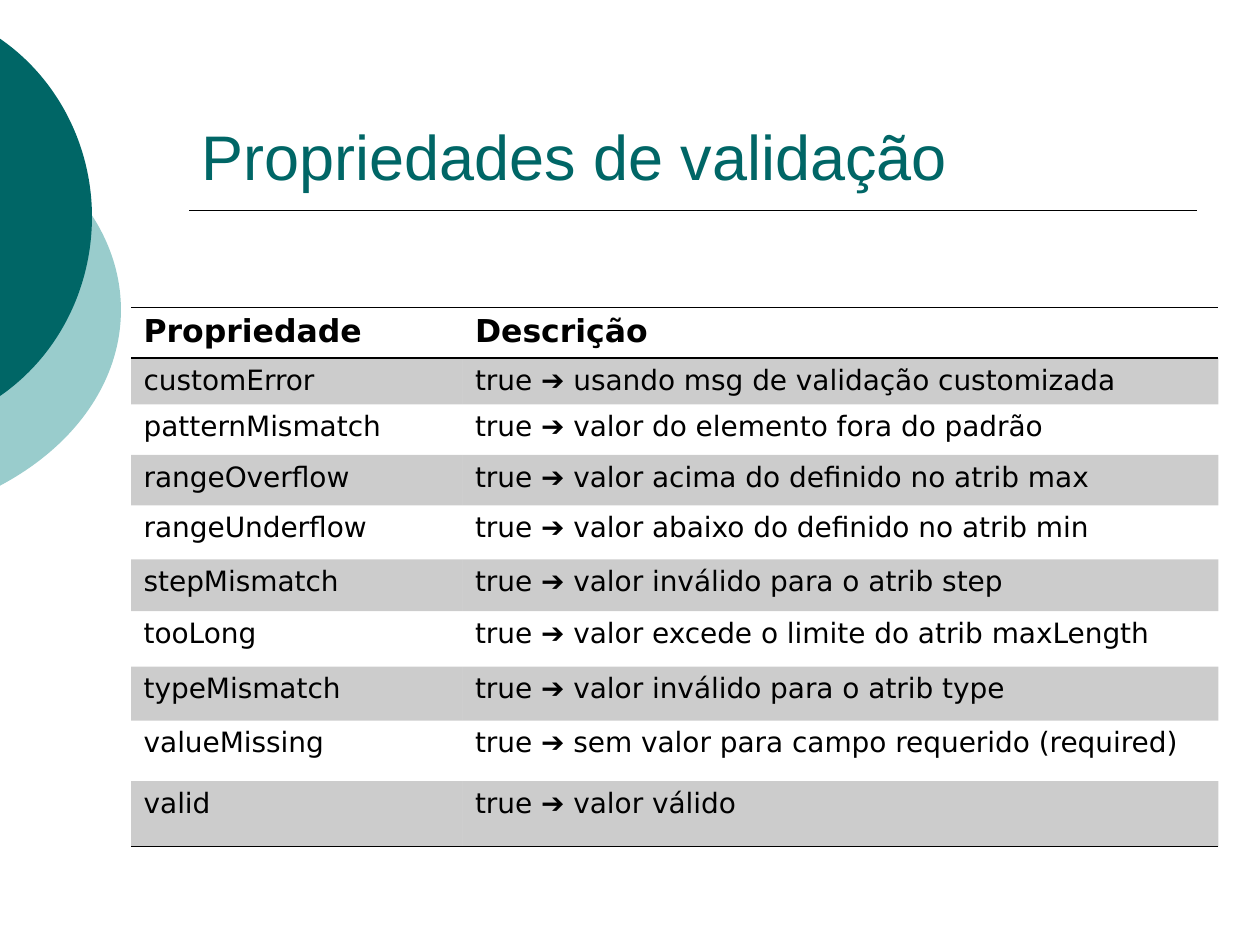
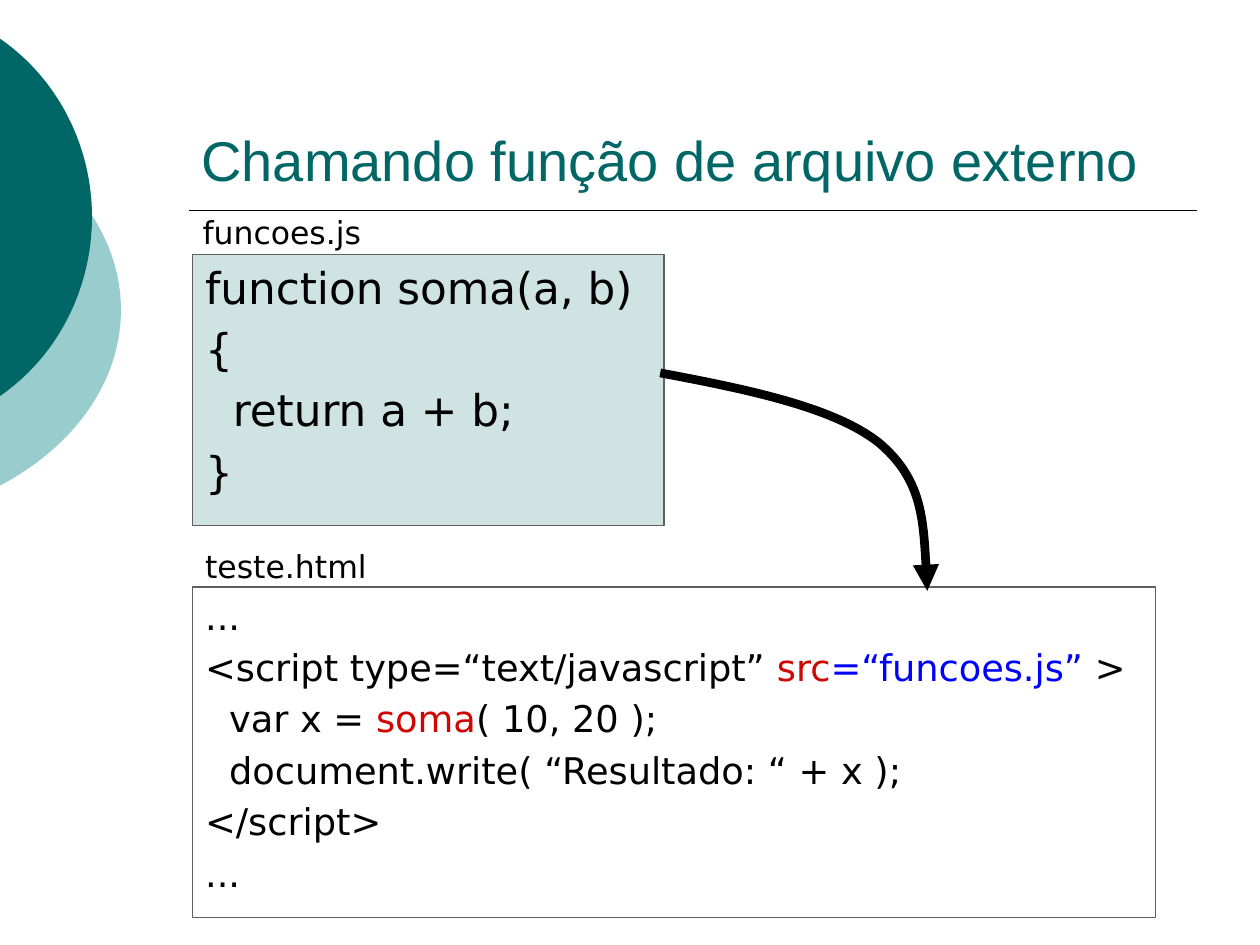
from lxml.etree import SubElement
from pptx import Presentation
from pptx.dml.color import RGBColor
from pptx.enum.shapes import MSO_CONNECTOR, MSO_SHAPE
from pptx.enum.text import MSO_ANCHOR, MSO_AUTO_SIZE, PP_ALIGN
from pptx.oxml.ns import qn
from pptx.util import Inches, Pt

BLACK, TEAL, LIGHT_TEAL = "000000", "006666", "99CCCC"
PALE_TEAL, GRAY, RED, BLUE = "D0E3E3", "5F5F5F", "CF0601", "0000FF"
TITLE_FONT, BODY_FONT = "Arial", "DejaVu Sans"
NO_TABLE_STYLE = "{2D5ABB26-0587-4C30-8999-92F81FD0307C}"

LIGHT_DISC_FRAME = (-3.54, 0.75, 4.5, 3.42)
LIGHT_DISC = [(-0.01, 1.06), (0.6, 1.38), (0.96, 1.9), (0.96, 2.46),
              (0.96, 3.02), (0.6, 3.54), (-0.01, 3.86)]
DARK_DISC_FRAME = (-2.65, 0, 3.38, 3.45)
DARK_DISC = [(-0.01, 0.3), (0.46, 0.62), (0.73, 1.16), (0.73, 1.72),
             (0.73, 2.29), (0.46, 2.83), (-0.01, 3.15)]
CALL_ARROW_FRAME = (5.24, 2.96, 2.13, 1.73)
CALL_ARROW = [(5.24, 2.96), (5.93, 3.09), (6.61, 3.23), (6.97, 3.51),
              (7.32, 3.8), (7.34, 4.25), (7.36, 4.69)]

PROPERTIES = [
    ("customError", "usando msg de validação customizada"),
    ("patternMismatch", "valor do elemento fora do padrão"),
    ("rangeOverflow", "valor acima do definido no atrib max"),
    ("rangeUnderflow", "valor abaixo do definido no atrib min"),
    ("stepMismatch", "valor inválido para o atrib step"),
    ("tooLong", "valor excede o limite do atrib maxLength"),
    ("typeMismatch", "valor inválido para o atrib type"),
    ("valueMissing", "sem valor para campo requerido (required)"),
    ("valid", "valor válido"),
]
ROW_HEIGHTS = [0.39, 0.37, 0.4, 0.4, 0.43, 0.41, 0.44, 0.43, 0.48, 0.52]

FUNCTION_CODE = [
    (0, [("function soma(a, b)", BLACK)]),
    (0, [("{", BLACK)]),
    (0.22, [("return a + b;", BLACK)]),
    (0, [("}", BLACK)]),
]
PAGE_CODE = [
    (0, [("...", BLACK)]),
    (0, [("<script type=“text/javascript” ", BLACK), ("src", RED),
         ("=“funcoes.js”", BLUE), (" >", BLACK)]),
    (0.19, [("var x = ", BLACK), ("soma", RED), ("( 10, 20 );", BLACK)]),
    (0.19, [("document.write( “Resultado: “ + x );", BLACK)]),
    (0, [("</script>", BLACK)]),
    (0, [("...", BLACK)]),
]


def color(hex_string):
    """Turn a hex string into a colour."""
    return RGBColor.from_string(hex_string)


def write(paragraph, text, size=18, font=BODY_FONT, ink=BLACK, bold=False):
    """Add a formatted run to a paragraph."""
    run = paragraph.add_run()
    run.text = text
    run.font.size = Pt(size)
    run.font.name = font
    run.font.bold = bold
    run.font.color.rgb = color(ink)


def add_border(cell, side):
    """Draw a thin black border on one side of a cell."""
    properties = cell._tc.get_or_add_tcPr()
    line = SubElement(properties, qn(f"a:ln{side}"), w=str(Pt(1)))
    fill = SubElement(line, qn("a:solidFill"))
    SubElement(fill, qn("a:srgbClr"), val=BLACK)


def shade(cell):
    """Fill a cell with black at one fifth opacity."""
    cell.fill.solid()
    cell.fill.fore_color.rgb = color(BLACK)
    tint = cell._tc.tcPr.find(qn("a:solidFill")).find(qn("a:srgbClr"))
    SubElement(tint, qn("a:alpha"), val="20000")


class Deck:
    """Hold the presentation style and the current slide."""

    def __init__(self):
        """Start an empty presentation."""
        self.presentation = Presentation()
        self.presentation.slide_width = Inches(10)
        self.presentation.slide_height = Inches(7.5)
        self.slide = None

    def add_slide(self, title, size):
        """Add a slide with the discs, the rule and a title."""
        self.slide = self.presentation.slides.add_slide(
            self.presentation.slide_layouts[6])
        self.disc(LIGHT_DISC_FRAME, LIGHT_DISC, LIGHT_TEAL)
        self.disc(DARK_DISC_FRAME, DARK_DISC, TEAL)
        self.rule(1.5, 1.67, 9.5)
        frame = self.text_box(1.5, 0.33, 8, 1.25)
        frame.vertical_anchor = MSO_ANCHOR.BOTTOM
        write(frame.paragraphs[0], title, size=size, font=TITLE_FONT, ink=TEAL)

    def curve(self, frame, controls, close):
        """Add a chain of cubic Bézier curves placed within a frame."""
        left, top, width, height = (Inches(length) for length in frame)
        points = [(Inches(x), Inches(y)) for x, y in controls]
        builder = self.slide.shapes.build_freeform(*points[0])
        builder.add_line_segments(points[1:], close=close)
        shape = builder.convert_to_shape()
        shape.shadow.inherit = False
        shape.left, shape.top, shape.width, shape.height = left, top, width, height
        outline = shape.element.find(f".//{qn('a:path')}")
        outline.set("w", str(width))
        outline.set("h", str(height))
        for segment in list(outline):
            outline.remove(segment)
        for number, (x, y) in enumerate(points):
            if number == 0:
                segment = SubElement(outline, qn("a:moveTo"))
            elif number % 3 == 1:
                segment = SubElement(outline, qn("a:cubicBezTo"))
            SubElement(segment, qn("a:pt"), x=str(x - left), y=str(y - top))
        if close:
            SubElement(outline, qn("a:close"))
        return shape

    def disc(self, frame, controls, fill):
        """Add a disc cut by the left edge."""
        shape = self.curve(frame, controls, close=True)
        shape.fill.solid()
        shape.fill.fore_color.rgb = color(fill)
        shape.line.fill.background()

    def curved_arrow(self, frame, controls, width):
        """Add a curved line that ends in an arrowhead."""
        shape = self.curve(frame, controls, close=False)
        shape.fill.background()
        shape.line.color.rgb = color(BLACK)
        shape.line.width = Pt(width)
        outline = shape.element.spPr.find(qn("a:ln"))
        SubElement(outline, qn("a:tailEnd"), type="triangle")

    def rule(self, left, top, right):
        """Add a horizontal line."""
        line = self.slide.shapes.add_connector(
            MSO_CONNECTOR.STRAIGHT, Inches(left), Inches(top), Inches(right), Inches(top))
        line.line.color.rgb = color(BLACK)
        line.line.width = Pt(1)
        SubElement(line.element.spPr, qn("a:effectLst"))

    def text_box(self, left, top, width, height):
        """Add a wrapping text box and return its frame."""
        shape = self.slide.shapes.add_textbox(
            Inches(left), Inches(top), Inches(width), Inches(height))
        shape.text_frame.word_wrap = True
        return shape.text_frame

    def file_label(self, left, top, width, name):
        """Add a file name above a code box."""
        frame = self.text_box(left, top, width, 0.4)
        frame.word_wrap = False
        frame.auto_size = MSO_AUTO_SIZE.SHAPE_TO_FIT_TEXT
        write(frame.paragraphs[0], name)

    def code_box(self, left, top, width, height, lines, size, fill=None):
        """Add a framed box with lines of code."""
        shape = self.slide.shapes.add_shape(
            MSO_SHAPE.RECTANGLE, Inches(left), Inches(top), Inches(width), Inches(height))
        shape.shadow.inherit = False
        shape.line.color.rgb = color(GRAY)
        shape.line.width = Pt(0.75)
        if fill:
            shape.fill.solid()
            shape.fill.fore_color.rgb = color(fill)
        else:
            shape.fill.background()
        frame = shape.text_frame
        frame.word_wrap = True
        frame.vertical_anchor = MSO_ANCHOR.TOP
        for number, (indent, pieces) in enumerate(lines):
            paragraph = frame.add_paragraph() if number else frame.paragraphs[0]
            paragraph.alignment = PP_ALIGN.LEFT
            properties = paragraph._p.get_or_add_pPr()
            properties.set("marL", str(Inches(0.38 + indent)))
            properties.set("indent", str(Inches(-0.38)))
            spacing = SubElement(properties, qn("a:spcBef"))
            SubElement(spacing, qn("a:spcPct"), val="20000")
            for text, ink in pieces:
                write(paragraph, text, size=size, ink=ink)

    def property_table(self, left, top, widths, heights, headings, entries):
        """Add a banded table of properties and their meaning."""
        graphic = self.slide.shapes.add_table(
            len(heights), len(widths), Inches(left), Inches(top),
            Inches(sum(widths)), Inches(sum(heights)))
        graphic.element.find(f".//{qn('a:tableStyleId')}").text = NO_TABLE_STYLE
        table = graphic.table
        table.first_row = table.horz_banding = False
        for column, width in zip(table.columns, widths):
            column.width = Inches(width)
        for row, height in zip(table.rows, heights):
            row.height = Inches(height)
        for column, heading in enumerate(headings):
            cell = table.cell(0, column)
            write(cell.text_frame.paragraphs[0], heading, bold=True)
            add_border(cell, "T")
            add_border(cell, "B")
            add_border(table.cell(len(entries), column), "B")
        for row, (name, meaning) in enumerate(entries, start=1):
            write(table.cell(row, 0).text_frame.paragraphs[0], name, size=16)
            paragraph = table.cell(row, 1).text_frame.paragraphs[0]
            write(paragraph, "true ", size=16)
            write(paragraph, "➔", size=16, font=TITLE_FONT)
            write(paragraph, f" {meaning}", size=16)
        for row_number, row in enumerate(table.rows):
            for cell in row.cells:
                if row_number % 2:
                    shade(cell)
                else:
                    cell.fill.background()


def main():
    """Build both slides and save them."""
    deck = Deck()
    deck.add_slide("Propriedades de validação", 36)
    deck.property_table(1.04, 2.44, [2.63, 6], ROW_HEIGHTS,
                        ["Propriedade", "Descrição"], PROPERTIES)

    deck.add_slide("Chamando função de arquivo externo", 32)
    deck.code_box(1.53, 2.02, 3.74, 2.15, FUNCTION_CODE, 25, fill=PALE_TEAL)
    deck.code_box(1.53, 4.66, 7.64, 2.62, PAGE_CODE, 21)
    deck.file_label(1.51, 1.64, 1.47, "funcoes.js")
    deck.file_label(1.53, 4.29, 1.49, "teste.html")
    deck.curved_arrow(CALL_ARROW_FRAME, CALL_ARROW, 5)
    deck.presentation.save("out.pptx")


if __name__ == "__main__":
    main()
